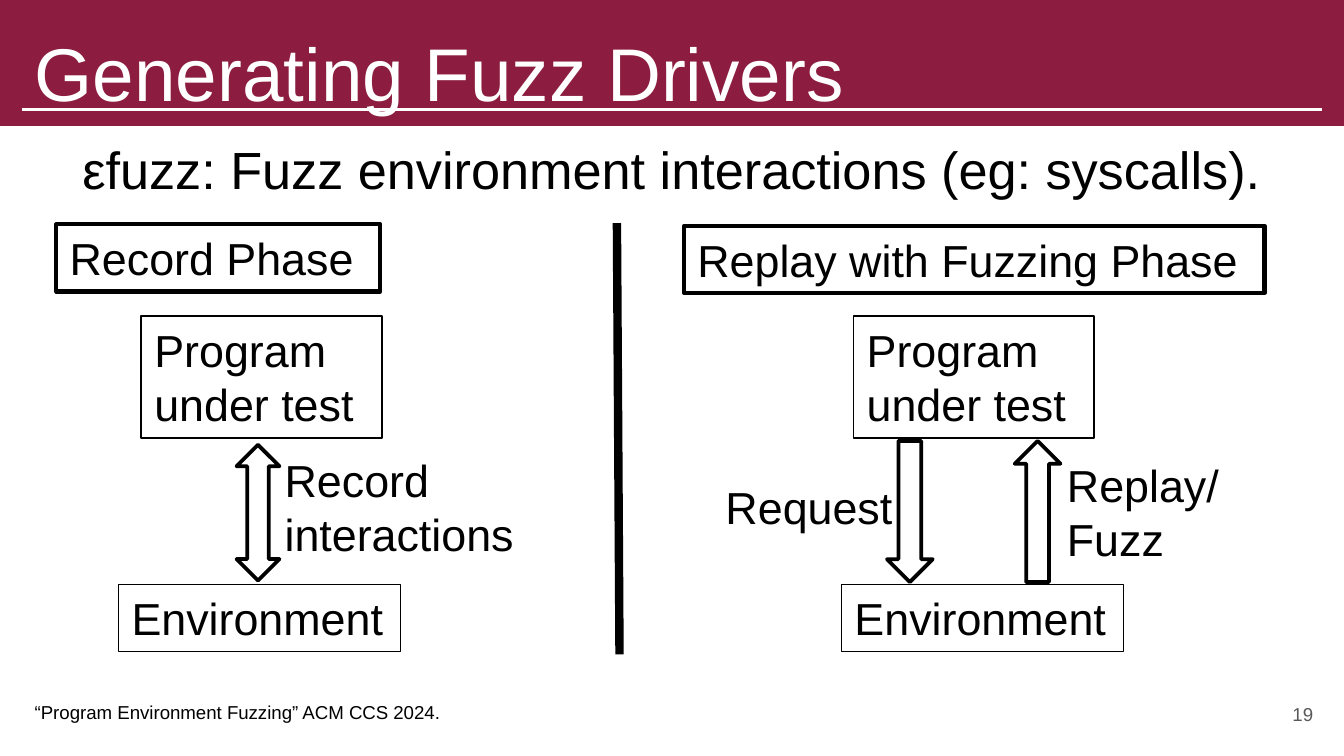
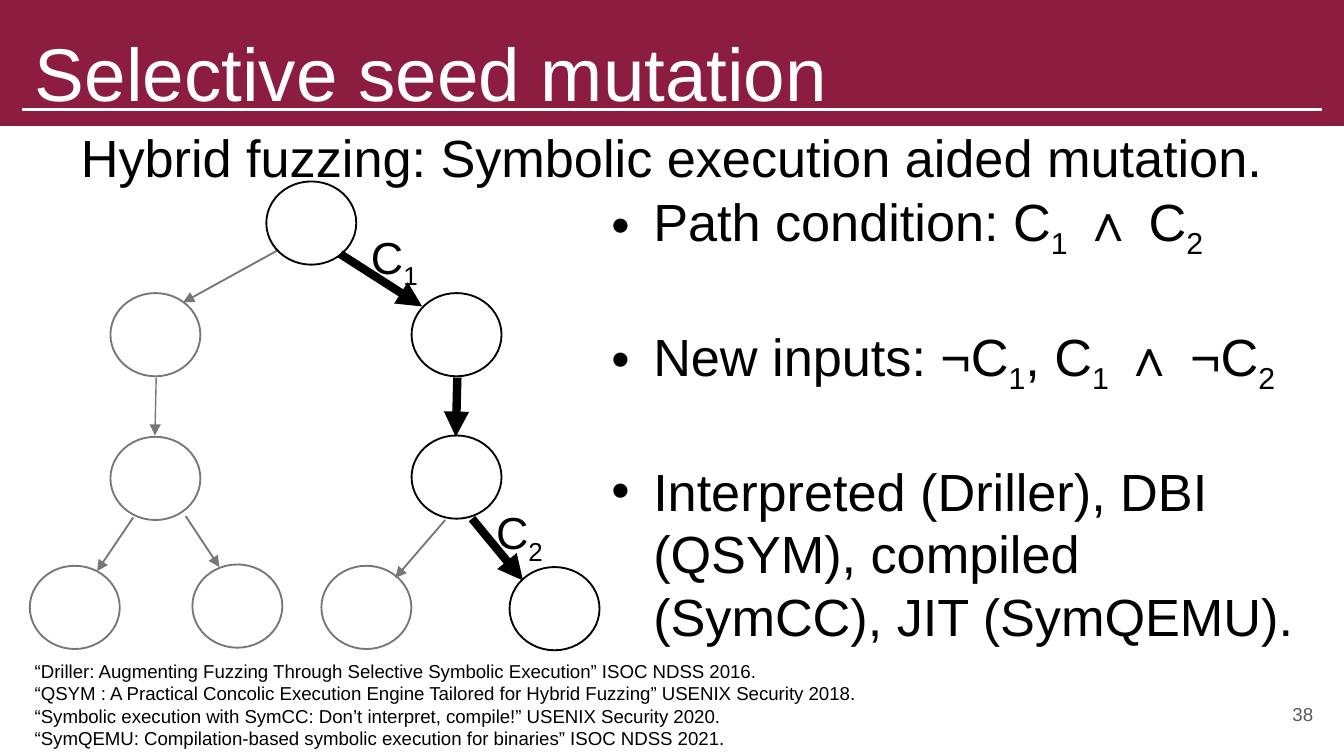
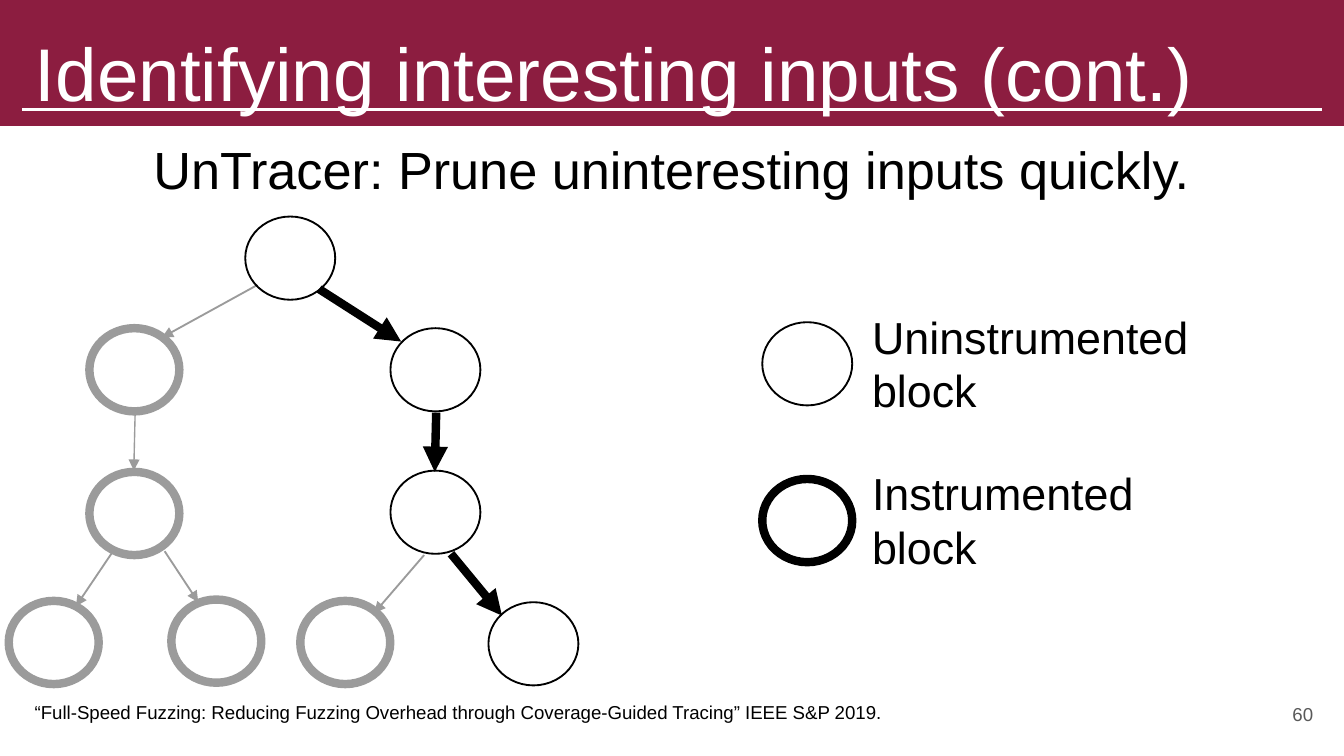
from dataclasses import dataclass

from lxml.etree import SubElement
from pptx import Presentation
from pptx.dml.color import RGBColor
from pptx.enum.shapes import MSO_CONNECTOR, MSO_SHAPE
from pptx.enum.text import MSO_ANCHOR, MSO_AUTO_SIZE, PP_ALIGN
from pptx.oxml.ns import qn
from pptx.util import Pt

HUES = {
    "maroon": "8C1D40",
    "white": "FFFFFF",
    "black": "000000",
    "number": "595959",
    "dim": "777777",
    "pale": "9B9B9B",
}
FACE = "Arial"
NODE_W, NODE_H = 48.2, 44.6
BOLD, THIN = 4.5, 1


@dataclass(frozen=True)
class Box:
    text: str
    left: float
    top: float
    width: float
    height: float
    line: float = 0


@dataclass(frozen=True)
class Arrow:
    kind: MSO_SHAPE
    left: float
    top: float
    width: float
    height: float
    turn: float = 0


@dataclass(frozen=True)
class Node:
    x: float
    y: float
    hit: bool = False


@dataclass(frozen=True)
class Edge:
    x1: float
    y1: float
    x2: float
    y2: float
    hit: bool = False
    thin: float = THIN


NODES = [
    Node(126.7, 0, True),
    Node(43.2, 59.8),
    Node(204.5, 59.8, True),
    Node(43.2, 136.8),
    Node(204.5, 136.1, True),
    Node(0, 205.9),
    Node(87.1, 205.2),
    Node(156.2, 205.9),
    Node(257, 206.6, True),
]
EDGES = [
    Edge(133.2, 36.7, 82.1, 64.8),
    Edge(166.3, 38.9, 210.2, 67, True),
    Edge(67.7, 105.1, 67, 136.1, thin=0.75),
    Edge(229, 105.1, 228.2, 136.8, True),
    Edge(55.4, 180, 36, 208.8),
    Edge(83.5, 179.3, 101.5, 206.6),
    Edge(222.5, 181.4, 195.8, 212.4),
    Edge(236.9, 180.7, 264.2, 213.8, True),
]
PHASES = [
    Box("Record Phase", 30.2, 120.2, 173.5, 36, 2.25),
    Box("Program under test", 75.6, 169.2, 128.9, 65.5, 1),
    Box("Environment", 63.4, 313.2, 151.2, 36, 0.75),
    Box("Record interactions", 145.4, 239, 151.2, 65.5),
    Box("Replay with Fuzzing Phase", 366.5, 121, 311, 36, 2.25),
    Box("Program under test", 457.2, 169.2, 128.9, 65.5, 1),
    Box("Environment", 450.7, 313.2, 151.2, 36, 0.75),
    Box("Request", 381.6, 253.4, 151.2, 36),
    Box("Replay/Fuzz", 564.5, 241.9, 103.7, 65.5),
]
ARROWS = [
    Arrow(MSO_SHAPE.UP_DOWN_ARROW, 126.7, 238.3, 23, 72.7),
    Arrow(MSO_SHAPE.DOWN_ARROW, 475.2, 236.2, 24.5, 75.6),
    Arrow(MSO_SHAPE.DOWN_ARROW, 543.6, 236.2, 24.5, 75.6, 180),
]


def hue(name: str) -> RGBColor:
    return RGBColor.from_string(HUES[name])


def bullet(para) -> None:
    props = para._p.get_or_add_pPr()
    props.set("marL", str(Pt(22.5)))
    props.set("indent", str(Pt(-22.5)))
    tint = SubElement(props, qn("a:buClr"))
    SubElement(tint, qn("a:srgbClr")).set("val", HUES["black"])
    SubElement(props, qn("a:buFont")).set("typeface", FACE)
    SubElement(props, qn("a:buChar")).set("char", "•")


def write(frame, text: str, size=24, color="black", align=PP_ALIGN.LEFT,
          anchor=MSO_ANCHOR.TOP, inset=3.6, grow=True, dots=False, gap=0) -> None:
    frame.word_wrap = True
    frame.auto_size = MSO_AUTO_SIZE.SHAPE_TO_FIT_TEXT if grow else MSO_AUTO_SIZE.NONE
    frame.vertical_anchor = anchor
    frame.margin_left = frame.margin_right = Pt(7.2)
    frame.margin_top = frame.margin_bottom = Pt(inset)
    for i, row in enumerate(text.split("\n")):
        para = frame.add_paragraph() if i else frame.paragraphs[0]
        para.alignment = align
        if dots:
            bullet(para)
        para.space_before = Pt(gap if i else 0)
        head, *subs = row.split("_")
        parts = [(head, False)]
        for sub in subs:
            parts += [(sub[0], True), (sub[1:], False)]
        for words, low in parts:
            if not words:
                continue
            run = para.add_run()
            run.text = words
            run.font.name = FACE
            run.font.size = Pt(size)
            run.font.color.rgb = hue(color)
            if low:
                run._r.get_or_add_rPr().set("baseline", "-25000")


def shape(slide, kind, left: float, top: float, width: float, height: float,
          fill="", line=0.0, color="black"):
    item = slide.shapes.add_shape(kind, Pt(left), Pt(top), Pt(width), Pt(height))
    item.shadow.inherit = False
    if fill:
        item.fill.solid()
        item.fill.fore_color.rgb = hue(fill)
    else:
        item.fill.background()
    if line:
        item.line.width = Pt(line)
        item.line.color.rgb = hue(color)
    else:
        item.line.fill.background()
    return item


def rule(slide, x1: float, y1: float, x2: float, y2: float,
         width=1.0, color="black", tip=False) -> None:
    item = slide.shapes.add_connector(
        MSO_CONNECTOR.STRAIGHT, Pt(x1), Pt(y1), Pt(x2), Pt(y2))
    item.line.width = Pt(width)
    item.line.color.rgb = hue(color)
    if tip:
        SubElement(item.line._get_or_add_ln(), qn("a:tailEnd")).set("type", "triangle")
    SubElement(item._element.spPr, qn("a:effectLst"))


def label(slide, box: Box, **style) -> None:
    if box.line:
        item = shape(slide, MSO_SHAPE.RECTANGLE, box.left, box.top,
                     box.width, box.height, line=box.line)
    else:
        item = slide.shapes.add_textbox(
            Pt(box.left), Pt(box.top), Pt(box.width), Pt(box.height))
    write(item.text_frame, box.text, **style)


def ring(slide, x: float, y: float, line: float, color="black") -> None:
    shape(slide, MSO_SHAPE.FLOWCHART_CONNECTOR, x, y, NODE_W, NODE_H,
          line=line, color=color)


def tree(slide, left: float, top: float, color: str, weight: float) -> None:
    for edge in EDGES:
        rule(slide, left + edge.x1, top + edge.y1, left + edge.x2, top + edge.y2,
             BOLD if edge.hit else edge.thin, "black" if edge.hit else color, True)
    for node in NODES:
        ring(slide, left + node.x, top + node.y,
             THIN if node.hit else weight, "black" if node.hit else color)


def start(deck, title: str, number: int, lead: str, cite: str,
          lead_top=69.8, cite_top=372.2):
    slide = deck.slides.add_slide(deck.slide_layouts[5])
    shape(slide, MSO_SHAPE.RECTANGLE, 0, 0, 720, 67.5, fill="maroon")
    rule(slide, 12, 58.8, 708, 58.8, 1.5, "white")
    head = slide.shapes.title
    slide.shapes._spTree.append(head._element)
    head.left, head.top, head.width, head.height = Pt(11.5), Pt(7.2), Pt(696.2), Pt(51.8)
    write(head.text_frame, title, size=40, color="white", inset=7.2, grow=False)
    label(slide, Box(str(number), 667.4, 367.2, 43.2, 31), size=10, color="number",
          align=PP_ALIGN.RIGHT, anchor=MSO_ANCHOR.MIDDLE, inset=7.2, grow=False)
    label(slide, Box(lead, 11.5, lead_top, 696.2, 41), size=28, align=PP_ALIGN.CENTER)
    label(slide, Box(cite, 11.5, cite_top, 568.8, 19.4), size=10)
    return slide


def drivers(deck) -> None:
    slide = start(deck, "Generating Fuzz Drivers", 19,
                  "εfuzz: Fuzz environment interactions (eg: syscalls).",
                  "“Program Environment Fuzzing” ACM CCS 2024.")
    for box in PHASES:
        label(slide, box)
    for arrow in ARROWS:
        item = shape(slide, arrow.kind, arrow.left, arrow.top,
                     arrow.width, arrow.height, line=2)
        item.rotation = arrow.turn
    rule(slide, 330.5, 119.5, 331.9, 350.6, BOLD)


def seeds(deck) -> None:
    cites = "\n".join([
        "“Driller: Augmenting Fuzzing Through Selective Symbolic Execution” ISOC NDSS 2016.",
        "“QSYM : A Practical Concolic Execution Engine Tailored for Hybrid Fuzzing” USENIX Security 2018.",
        "“Symbolic execution with SymCC: Don’t interpret, compile!” USENIX Security 2020.",
        "“SymQEMU: Compilation-based symbolic execution for binaries” ISOC NDSS 2021.",
    ])
    slide = start(deck, "Selective seed mutation", 38,
                  "Hybrid fuzzing: Symbolic execution aided mutation.",
                  cites, lead_top=63.4, cite_top=349.9)
    tree(slide, 16, 97.2, "dim", THIN)
    for box in (Box("C_1", 187.2, 119.5, 48.2, 36), Box("C_2", 254.2, 267.1, 48.2, 36)):
        label(slide, box, align=PP_ALIGN.CENTER)
    points = "\n".join([
        "Path condition: C_1 ∧ C_2",
        "New inputs: ¬C_1, C_1 ∧ ¬C_2",
        "Interpreted (Driller), DBI (QSYM), compiled (SymCC), JIT (SymQEMU).",
    ])
    label(slide, Box(points, 320.4, 97.9, 386.6, 244.8), size=28, dots=True, gap=34)


def inputs(deck) -> None:
    slide = start(deck, "Identifying interesting inputs (cont.)", 60,
                  "UnTracer: Prune uninteresting inputs quickly.",
                  "“Full-Speed Fuzzing: Reducing Fuzzing Overhead through "
                  "Coverage-Guided Tracing” IEEE S&P 2019.")
    tree(slide, 4.7, 116, "pale", BOLD)
    keys = [("Uninstrumented block", THIN), ("Instrumented block", BOLD)]
    for i, (text, line) in enumerate(keys):
        top = 172.6 + i * 84
        ring(slide, 408.4, top, line)
        label(slide, Box(text, 460.1, top - 10.4, 195.8, 65.5))


def main() -> None:
    deck = Presentation()
    deck.slide_width, deck.slide_height = Pt(720), Pt(405)
    for build in (drivers, seeds, inputs):
        build(deck)
    deck.save("out.pptx")


if __name__ == "__main__":
    main()
